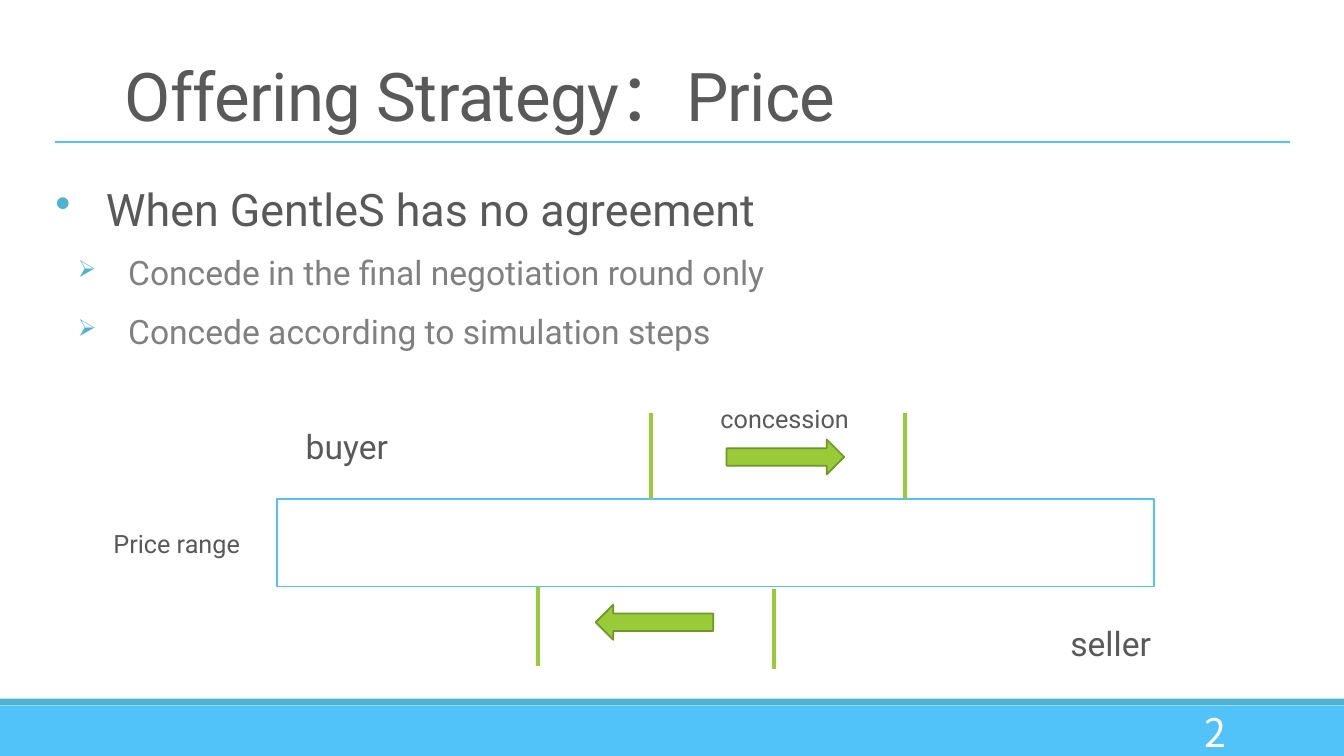
from lxml import etree
from pptx import Presentation
from pptx import util as u
from pptx.dml import color
from pptx.enum import shapes, text
from pptx.oxml import ns

SKY, TEAL, GREEN, DARK_GREEN = "51C3F9", "4EB3CF", "99CB38", "719629"
DARK, GREY, WHITE = "595959", "808080", "FFFFFF"
LATIN, CJK = "Roboto", "Noto Sans CJK JP"


def rgb(value):
    return color.RGBColor.from_string(value)


def add_child(parent, tag, **attributes):
    return etree.SubElement(parent, ns.qn(tag), attributes)


def add_block(slide, kind, box, fill, line=None):
    shape = slide.shapes.add_shape(kind, *map(u.Pt, box))
    shape.shadow.inherit = False
    shape.fill.solid()
    shape.fill.fore_color.rgb = rgb(fill)
    if line:
        shape.line.color.rgb = rgb(line)
        shape.line.width = u.Pt(1.25)
    else:
        shape.line.fill.background()


def add_line(slide, start, end, stroke, width):
    connector = slide.shapes.add_connector(
        shapes.MSO_CONNECTOR.STRAIGHT, *map(u.Pt, start + end))
    connector.line.color.rgb = rgb(stroke)
    connector.line.width = u.Pt(width)
    add_child(connector._element.spPr, "a:effectLst")


def add_text_frame(slide, box, anchor):
    frame = slide.shapes.add_textbox(*map(u.Pt, box)).text_frame
    frame.word_wrap = True
    frame.vertical_anchor = anchor
    return frame


def format_runs(paragraph, size, ink, font=LATIN):
    for run in paragraph.runs:
        run.font.size = u.Pt(size)
        run.font.name = font
        run.font.color.rgb = rgb(ink)


def add_label(slide, box, words, size, ink=DARK, font=LATIN,
              align=text.PP_ALIGN.CENTER, anchor=text.MSO_ANCHOR.TOP):
    frame = add_text_frame(slide, box, anchor)
    frame.text = words
    frame.paragraphs[0].alignment = align
    format_runs(frame.paragraphs[0], size, ink, font)


def add_title(slide, box, words):
    left, top, width, height = box
    frame = add_text_frame(slide, box, text.MSO_ANCHOR.BOTTOM)
    frame.text = words
    paragraph = frame.paragraphs[0]
    paragraph._p.get_or_add_pPr().set("marL", str(u.Pt(42.5)))
    paragraph.line_spacing = 0.85
    format_runs(paragraph, 48, DARK)
    properties = paragraph.runs[0]._r.get_or_add_rPr()
    properties.set("spc", "-50")
    add_child(properties, "a:ea", typeface=CJK)
    rule = top + height + 1.5
    add_line(slide, (left, rule), (left + width, rule), SKY, 1)


def add_bullets(slide, box, heading, points):
    frame = add_text_frame(slide, box, text.MSO_ANCHOR.TOP)
    frame.margin_left = frame.margin_right = 0
    for index, words in enumerate([heading] + points):
        is_point = index > 0
        paragraph = frame.add_paragraph() if is_point else frame.paragraphs[0]
        paragraph.text = words
        paragraph.level = int(is_point)
        paragraph.line_spacing = 1.3 if is_point else 1.4
        paragraph.space_before = u.Pt(1 if is_point else 0)
        paragraph.space_after = u.Pt(4 if is_point else 2)
        properties = paragraph._p.get_or_add_pPr()
        properties.set("marL", str(u.Pt(52 if is_point else 36)))
        properties.set("indent", str(u.Pt(-36)))
        add_child(add_child(properties, "a:buClr"), "a:srgbClr", val=TEAL)
        if is_point:
            add_child(properties, "a:buSzPct", val="70000")
        add_child(properties, "a:buChar", char="➢" if is_point else "•")
        format_runs(paragraph, 24 if is_point else 32, GREY if is_point else DARK)


def add_price_range(slide, bar):
    left, top, width, height = bar
    bottom = top + height
    arrow = shapes.MSO_SHAPE
    add_block(slide, arrow.RECTANGLE, bar, WHITE, SKY)
    for offset in (267, 448.5):
        add_line(slide, (left + offset, top - 61.5), (left + offset, top), GREEN, 3)
    for offset, gap in ((186.5, 0), (355, 2)):
        add_line(slide, (left + offset, bottom + gap),
                 (left + offset, bottom + gap + 57), GREEN, 3)
    add_block(slide, arrow.RIGHT_ARROW, (left + 321, top - 42.5, 84, 25),
              GREEN, DARK_GREEN)
    add_block(slide, arrow.LEFT_ARROW, (left + 227.5, bottom + 13, 84, 25),
              GREEN, DARK_GREEN)
    add_label(slide, (left - 16.5, top - 55.5, 132.5, 36), "buyer", 24)
    add_label(slide, (left + width - 90.5, bottom + 22.5, 119, 36), "seller", 24)
    add_label(slide, (left - 138, top + 17.5, 132.5, 29), "Price range", 18)
    add_label(slide, (left + 305, top - 72, 115, 29), "concession", 18)


def add_footer(slide, box, number):
    left, top, width, height = box
    rectangle = shapes.MSO_SHAPE.RECTANGLE
    add_block(slide, rectangle, box, SKY)
    add_block(slide, rectangle, (left, top - 5, width, 4.8), TEAL)
    add_label(slide, (left + width - 180, top + 4.5, 103, 28.5), number, 28, WHITE,
              CJK, text.PP_ALIGN.RIGHT, text.MSO_ANCHOR.MIDDLE)


def main():
    presentation = Presentation()
    presentation.slide_width, presentation.slide_height = u.Pt(960), u.Pt(540)
    slide = presentation.slides.add_slide(presentation.slide_layouts[6])
    add_footer(slide, (0, 504, 960, 36), "2")
    add_title(slide, (39.6, 26.6, 882, 73.4), "Offering Strategy：Price")
    add_bullets(slide, (39.6, 111, 882, 160), "When GentleS has no agreement", [
        "Concede in the final negotiation round only",
        "Concede according to simulation steps",
    ])
    add_price_range(slide, (198, 356.4, 626.4, 62.6))
    presentation.save("out.pptx")


if __name__ == "__main__":
    main()
